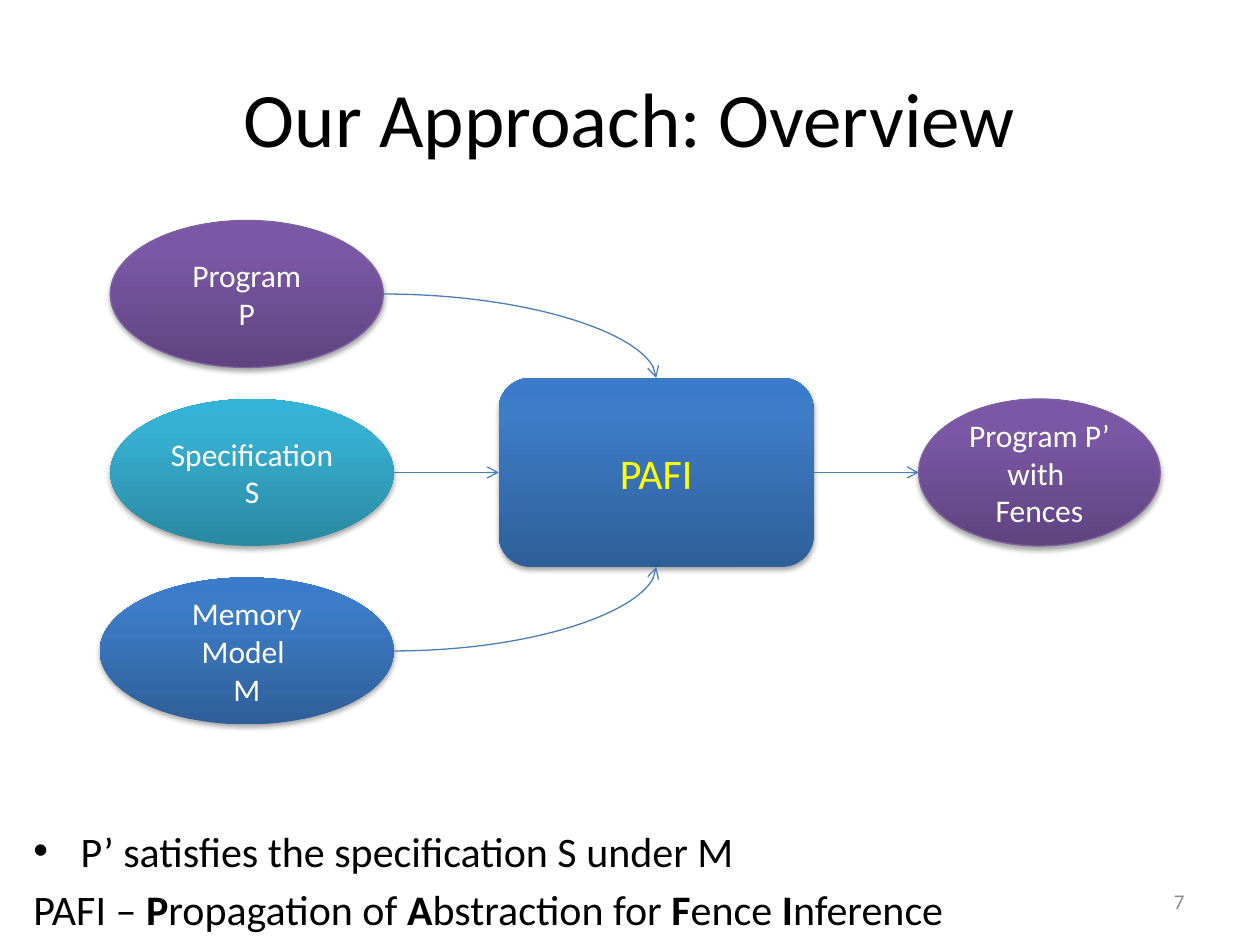
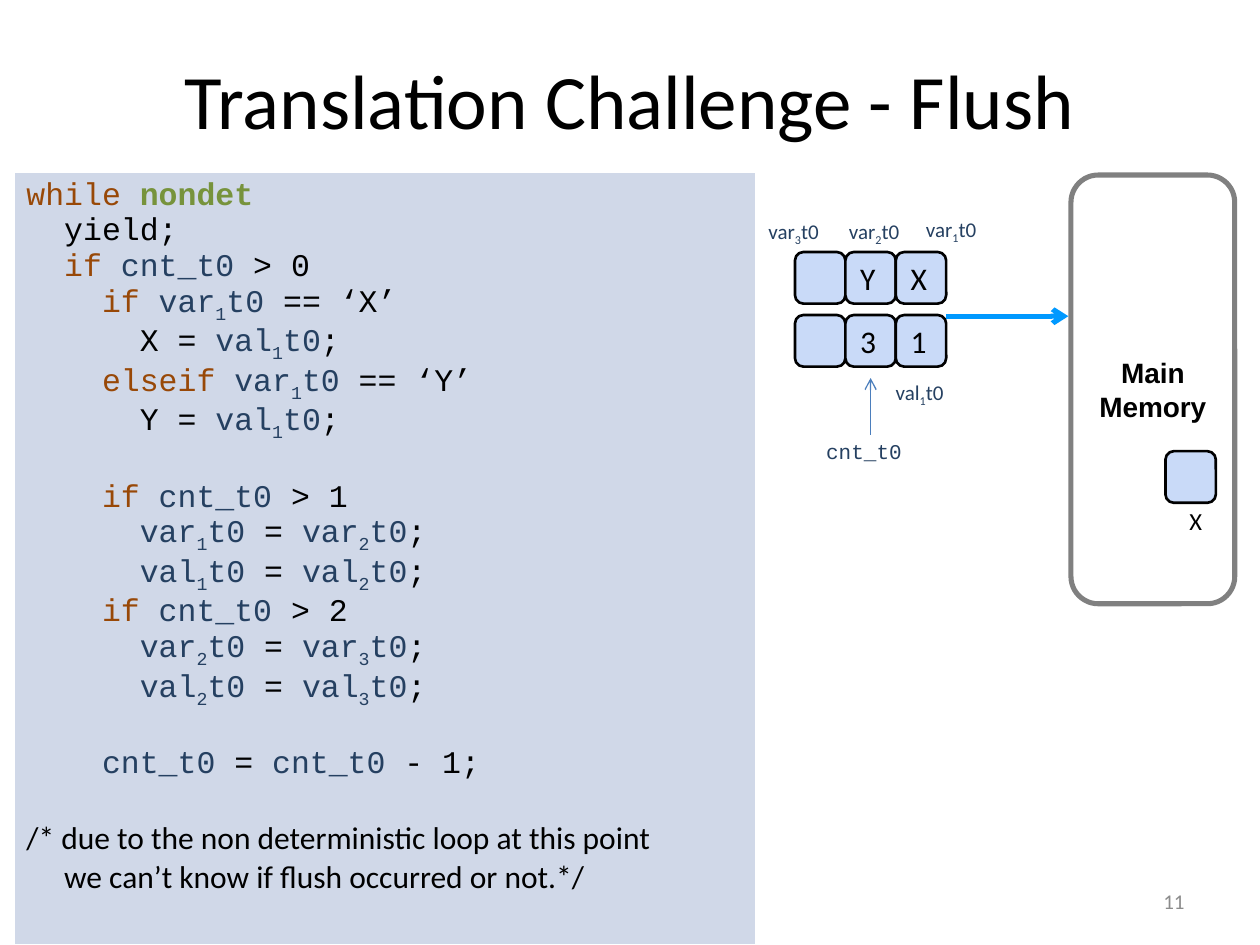
"""Build two slides: the overview of the approach and the flush translation challenge."""
from copy import deepcopy

from lxml import etree
from pptx import Presentation
from pptx import util as u
from pptx.dml.color import RGBColor
from pptx.enum import shapes, text
from pptx.oxml.ns import qn

BLACK, WHITE, NAVY, BLUE = "000000", "FFFFFF", "254061", "4B7EBC"
BROWN, GREEN, GREY, SKY = "984807", "77933C", "808080", "0099FF"
CELL_FILL, CODE_FILL = "C9DAF8", "D0D8E8"
PURPLES = ("5F4480", "7B58A6", "7C57A8")
TEALS = ("2A88A2", "37B1D2", "34B4D6")
BLUES = ("2F5F99", "3D7CC7", "3A7CCB")
STOPS = (0, 0.8, 1)

CENTER, RIGHT = text.PP_ALIGN.CENTER, text.PP_ALIGN.RIGHT
TOP, MIDDLE, BOTTOM = text.MSO_ANCHOR.TOP, text.MSO_ANCHOR.MIDDLE, text.MSO_ANCHOR.BOTTOM
OVAL, ROUNDED = shapes.MSO_SHAPE.OVAL, shapes.MSO_SHAPE.ROUNDED_RECTANGLE
STRAIGHT, CURVE = shapes.MSO_CONNECTOR.STRAIGHT, shapes.MSO_CONNECTOR.CURVE
BREAK = "\v"

TITLE = {"size": 44, "color": BLACK}
NUMBER = {"size": 12, "color": "8C8C8C"}
BODY = {"size": 24, "color": BLACK}
STAGE = {"size": 18, "color": WHITE}
ENGINE = {"size": 24, "color": "FFFF00"}
VALUE = {"size": 18, "color": BLACK}
LABEL = {"size": 12, "color": NAVY}
CODE = {"size": 18, "color": BLACK, "name": "Courier New"}
STRONG = {"bold": True}
EVEN = dict.fromkeys(("margin_left", "margin_top", "margin_right", "margin_bottom"), u.Pt(7.2))

NUMBER_BOX = (516, 500.4, 168, 28.8)
OVERVIEW = {"title": "Our Approach: Overview", "box": (36, 21.6, 648, 90), "anchor": MIDDLE, "number": "7"}
FLUSH = {"title": "Translation Challenge - Flush", "box": (36, 21.6, 648, 68.4), "anchor": BOTTOM, "number": "11"}

STAGES = {
    "program": (OVAL, (63, 126, 156, 84), PURPLES, "7D60A0", STAGE, [["Program"], ["P"]]),
    "specification": (OVAL, (63, 228, 162, 84), TEALS, None, STAGE, [["Specification", BREAK, "S"]]),
    "memory model": (OVAL, (57, 330, 168, 84), BLUES, None, STAGE, [["Memory", BREAK, "Model "], ["M"]]),
    "engine": (ROUNDED, (285, 216, 180, 108), BLUES, None, ENGINE, [["PAFI"]]),
    "fenced program": (OVAL, (525, 228, 138, 84), PURPLES, "7D60A0", STAGE,
                       [["Program P’", BREAK, "with ", BREAK, "Fences"]]),
}
FLOWS = [
    ("program", "engine", "top"),
    ("specification", "engine", "left"),
    ("memory model", "engine", "bottom"),
    ("engine", "fenced program", "left"),
]
CLAIM = [
    ["P’ satisfies the specification S under M"],
    ["PAFI – ", ("P", STRONG), "ropagation of ", ("A", STRONG), "bstraction for ",
     ("F", STRONG), "ence ", ("I", STRONG), "nference"],
]

KEYWORDS = {"while": {"color": BROWN}, "if": {"color": BROWN}, "elseif": {"color": BROWN},
            "nondet": {"color": GREEN, "bold": True}}
CODE_LINES = [
    (0, "while nondet"),
    (1, "yield;"),
    (1, "if cnt_t0 > 0"),
    (2, "if var1t0 == ‘X’"),
    (3, "X = val1t0;"),
    (2, "elseif var1t0 == ‘Y’"),
    (3, "Y = val1t0;"),
    (2, "if cnt_t0 > 1"),
    (3, "var1t0 = var2t0;"),
    (3, "val1t0 = val2t0;"),
    (2, "if cnt_t0 > 2"),
    (3, "var2t0 = var3t0;"),
    (3, "val2t0 = val3t0;"),
    (2, "cnt_t0 = cnt_t0 - 1;"),
]
REMARK = ["/* due to the non deterministic loop at this point",
          "we can’t know if flush occurred or not.*/"]
GAPS_BEFORE = (7, 13, 14)
CODE_STEP, CODE_GAP = 21.6, 21
CODE_BOX = (7.9, 98.6, 424, 441)

BUFFER = [["", "Y", "X"], ["", "3", "1"]]
BUFFER_LEFT, BUFFER_TOP, ROW_PITCH = 454.3, 144, 36
CELL_WIDTH, CELL_HEIGHT = 28.8, 29.5
LABELS = [("var1t0", 522, 116.6), ("var2t0", 478, 117.4), ("var3t0", 432, 117.4), ("val1t0", 504.7, 209.5)]
MEMORY_BOX = (612, 100, 93.6, 245)
MEMORY_CELL = (666, 257.8, CELL_WIDTH, CELL_HEIGHT)
COUNTER_BOX = (465, 247, 65.5, 21.6)


def rgb(value):
    return RGBColor.from_string(value)


def assign(target, values):
    for name, value in values.items():
        setattr(target, name, value)


def points(values):
    return [u.Pt(value) for value in values]


def add_runs(paragraph, pieces, style):
    for piece in pieces:
        if piece == BREAK:
            paragraph.add_line_break()
            continue
        wording, extra = piece if isinstance(piece, tuple) else (piece, {})
        look = {"name": "Calibri", "bold": False, **style, **extra}
        run = paragraph.add_run()
        run.text = wording
        run.font.color.rgb = rgb(look.pop("color"))
        if "baseline" in look:
            run.font._element.set("baseline", look.pop("baseline"))
        assign(run.font, {**look, "size": u.Pt(look["size"])})


def write(frame, paragraphs, style, layout=None, align=None):
    assign(frame, {"word_wrap": True, **(layout or {})})
    for index, pieces in enumerate(paragraphs):
        paragraph = frame.add_paragraph() if index else frame.paragraphs[0]
        paragraph.alignment = align
        add_runs(paragraph, pieces, style)
    return frame.paragraphs


def add_text(slide, box, paragraphs, style, layout=None, align=None):
    frame = slide.shapes.add_textbox(*points(box)).text_frame
    return write(frame, paragraphs, style, layout, align)


def add_outline(slide, kind, box, fill=None, line=None, width=0.75):
    shape = slide.shapes.add_shape(kind, *points(box))
    shape.shadow.inherit = False
    for part, color in ((shape.fill, fill), (shape.line.fill, line)):
        if color:
            part.solid()
            part.fore_color.rgb = rgb(color)
        else:
            part.background()
    if line:
        shape.line.width = u.Pt(width)
    return shape


def shade(shape, colors):
    shape.fill.gradient()
    shape.fill.gradient_angle = 90
    stop_list = shape._element.spPr.find(".//" + qn("a:gsLst"))
    stop_list.append(deepcopy(stop_list[0]))
    for stop, position, color in zip(shape.fill.gradient_stops, STOPS, colors):
        stop.position = position
        stop.color.rgb = rgb(color)


def cast_shadow(shape):
    effects = shape._element.spPr.find(qn("a:effectLst"))
    shadow = etree.SubElement(effects, qn("a:outerShdw"), blurRad=str(u.Pt(3.1)), dist=str(u.Pt(1.8)),
                              dir="5400000", rotWithShape="0")
    color = etree.SubElement(shadow, qn("a:srgbClr"), val=BLACK)
    etree.SubElement(color, qn("a:alpha"), val="35000")


def add_arrow(slide, kind, start, end, color=BLUE, width=0.75):
    arrow = slide.shapes.add_connector(kind, *points((*start, *end)))
    arrow.line.color.rgb = rgb(color)
    arrow.line.width = u.Pt(width)
    etree.SubElement(arrow.line._get_or_add_ln(), qn("a:tailEnd"), type="arrow")
    etree.SubElement(arrow._element.spPr, qn("a:effectLst"))
    return arrow


def side_point(box, side):
    left, top, width, height = box
    return {"left": (left, top + height / 2), "right": (left + width, top + height / 2),
            "top": (left + width / 2, top), "bottom": (left + width / 2, top + height)}[side]


def subscripted(name, style):
    if len(name) > 3 and name[3].isdigit():
        return [(name[:3], style), (name[3], {**style, "baseline": "-25000"}), (name[4:], style)]
    return [(name, style)]


def code_pieces(line):
    pieces = []
    words = line.split()
    for index, word in enumerate(words):
        space = " " if index < len(words) - 1 else ""
        name = word.rstrip(";")
        if name.endswith("t0"):
            pieces += subscripted(name, {"color": NAVY})
            pieces.append(word[len(name):] + space)
        else:
            pieces.append((word + space, KEYWORDS.get(word, {})))
    return [piece for piece in pieces if piece]


def indent(paragraph, left, first=0):
    properties = paragraph._p.get_or_add_pPr()
    properties.set("marL", str(u.Pt(left)))
    properties.set("indent", str(u.Pt(first)))
    return properties


def start_slide(deck, heading):
    slide = deck.slides.add_slide(deck.slide_layouts[6])
    add_text(slide, heading["box"], [[heading["title"]]], TITLE, {**EVEN, "vertical_anchor": heading["anchor"]}, CENTER)
    add_text(slide, NUMBER_BOX, [[heading["number"]]], NUMBER, {"vertical_anchor": MIDDLE}, RIGHT)
    return slide


def build_overview(deck):
    slide = start_slide(deck, OVERVIEW)
    bulleted, expansion = add_text(slide, (12, 468, 588, 72), CLAIM, BODY)
    for paragraph in (bulleted, expansion):
        paragraph.space_before = u.Pt(4.8)
    properties = indent(bulleted, 27, -27)
    etree.SubElement(properties, qn("a:buFont"), typeface="Arial")
    etree.SubElement(properties, qn("a:buChar"), char="•")
    for kind, box, colors, line, style, wording in STAGES.values():
        stage = add_outline(slide, kind, box, line=line)
        shade(stage, colors)
        cast_shadow(stage)
        write(stage.text_frame, wording, style, {"vertical_anchor": MIDDLE}, CENTER)
    for source, target, side in FLOWS:
        flow = add_arrow(slide, CURVE, side_point(STAGES[source][1], "right"), side_point(STAGES[target][1], side))
        if side != "left":
            flow._element.spPr.find(qn("a:prstGeom")).set("prst", "curvedConnector2")


def add_code(slide):
    table = slide.shapes.add_table(1, 1, *points(CODE_BOX)).table
    assign(table, {"first_row": False, "horz_banding": False})
    cell = table.cell(0, 0)
    cell.fill.solid()
    cell.fill.fore_color.rgb = rgb(CODE_FILL)
    lines = [code_pieces(line) for _, line in CODE_LINES]
    lines += [[(line, {"name": "Calibri"})] for line in REMARK]
    depths = [depth for depth, _ in CODE_LINES] + list(range(len(REMARK)))
    for index, (paragraph, depth) in enumerate(zip(write(cell.text_frame, lines, CODE), depths)):
        indent(paragraph, depth * CODE_STEP)
        if index in GAPS_BEFORE:
            paragraph.space_before = u.Pt(CODE_GAP)


def add_cell(slide, box, value=""):
    cell = add_outline(slide, ROUNDED, box, CELL_FILL, BLACK, 1.5)
    if value:
        write(cell.text_frame, [[value]], VALUE, {**EVEN, "vertical_anchor": MIDDLE}, text.PP_ALIGN.LEFT)


def build_flush(deck):
    slide = start_slide(deck, FLUSH)
    for row, values in enumerate(BUFFER):
        for column, value in enumerate(values):
            add_cell(slide, (BUFFER_LEFT + column * CELL_WIDTH, BUFFER_TOP + row * ROW_PITCH,
                             CELL_WIDTH, CELL_HEIGHT), value)
    for name, left, top in LABELS:
        add_text(slide, (left, top, 51, 25.2), [subscripted(name, {})], LABEL, EVEN)
    memory = add_outline(slide, ROUNDED, MEMORY_BOX, line=GREY, width=2.89)
    write(memory.text_frame, [["Main"], ["Memory"]], {"size": 16, "color": BLACK, "name": "Arial", "bold": True},
          {"word_wrap": False, "vertical_anchor": MIDDLE}, CENTER)
    add_cell(slide, MEMORY_CELL)
    add_text(slide, (672.5, 282.2, 22.3, 25.2), [["X"]], {"size": 14, "color": BLACK}, EVEN)
    add_text(slide, COUNTER_BOX, [["cnt_t0"]], {**LABEL, "name": "Courier New"}, {"vertical_anchor": TOP})
    add_arrow(slide, STRAIGHT, (497.5, 248.4), (497.5, 216))
    add_arrow(slide, STRAIGHT, (540.7, 180.7), (610.5, 180.7), SKY, 2.89)
    add_code(slide)


def main():
    deck = Presentation()
    assign(deck, {"slide_width": u.Pt(720), "slide_height": u.Pt(540)})
    build_overview(deck)
    build_flush(deck)
    deck.save("out.pptx")


if __name__ == "__main__":
    main()
